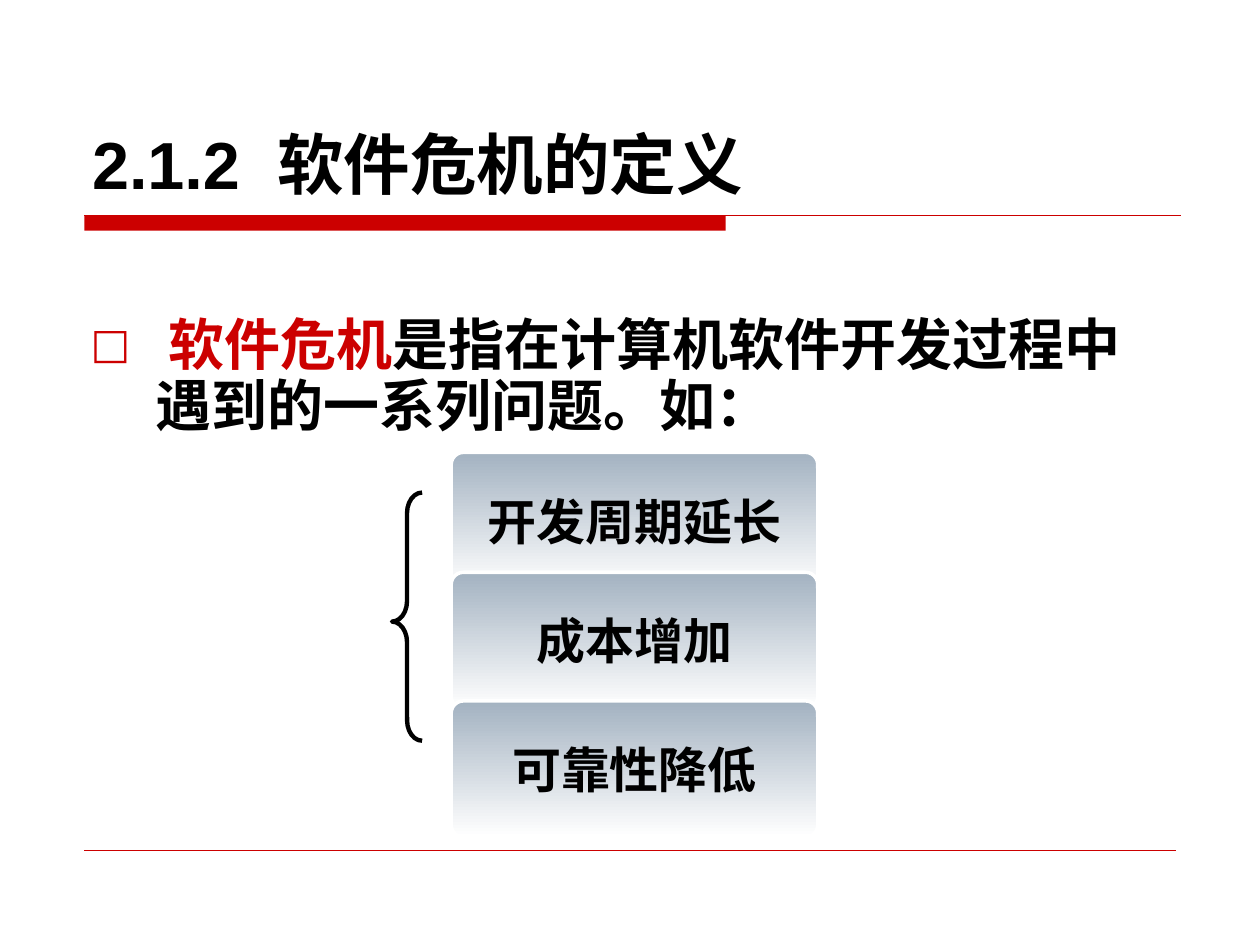
from dataclasses import dataclass

from lxml.etree import SubElement
from pptx import Presentation
from pptx.dml.color import RGBColor
from pptx.enum.shapes import MSO_CONNECTOR as Connector, MSO_SHAPE as Shape
from pptx.enum.text import MSO_ANCHOR as Anchor, MSO_AUTO_SIZE as AutoSize, PP_ALIGN as Align
from pptx.oxml.ns import qn
from pptx.util import Pt

RED, BLACK, WHITE, STEEL = "CC0000", "000000", "FFFFFF", "A3B2C1"
CJK_FONT = "Noto Sans CJK SC"


@dataclass
class Card:
    text: str
    top: float


@dataclass
class Rule:
    left: float
    right: float
    y: float
    weight: float


CARDS = [Card("开发周期延长", 258.5), Card("成本增加", 327), Card("可靠性降低", 400.5)]
RULES = [Rule(48.2, 674.6, 123.1, 0.75), Rule(48.2, 671.8, 486, 0.25)]


def color(value: str) -> RGBColor:
    return RGBColor.from_string(value)


def place(shape, left: float, top: float, width: float, height: float) -> None:
    shape.left, shape.top, shape.width, shape.height = map(Pt, (left, top, width, height))


def add_span(para, text: str, *, size: float, font: str, fill: str = BLACK, spacing: float = 0):
    span = para.add_run()
    span.text = text
    span.font.size, span.font.bold = Pt(size), True
    span.font.color.rgb = color(fill)
    span.font.name = font
    props = span.font._element
    SubElement(props, qn("a:ea")).set("typeface", CJK_FONT)
    if spacing:
        props.set("spc", str(round(spacing * 100)))
    return span


def add_bullet(para, char: str, *, font: str, fill: str, percent: int, indent: float) -> None:
    props = para._p.get_or_add_pPr()
    props.set("marL", str(Pt(indent)))
    props.set("indent", str(-Pt(indent)))
    bullet_color = SubElement(props, qn("a:buClr"))
    SubElement(bullet_color, qn("a:srgbClr")).set("val", fill)
    SubElement(props, qn("a:buSzPct")).set("val", str(percent * 1000))
    SubElement(props, qn("a:buFont")).set("typeface", font)
    SubElement(props, qn("a:buChar")).set("char", char)


def add_rule(page, rule: Rule):
    line = page.shapes.add_connector(
        Connector.STRAIGHT, Pt(rule.left), Pt(rule.y), Pt(rule.right), Pt(rule.y))
    line.line.color.rgb = color(RED)
    line.line.width = Pt(rule.weight)
    SubElement(line._element.spPr, qn("a:effectLst"))
    return line


def add_plain_shape(page, kind, left: float, top: float, width: float, height: float):
    shape = page.shapes.add_shape(kind, Pt(left), Pt(top), Pt(width), Pt(height))
    shape.shadow.inherit = False
    return shape


def add_card(page, card: Card):
    box = add_plain_shape(page, Shape.ROUNDED_RECTANGLE, 257.8, card.top, 209.5, 77.8)
    box.adjustments[0] = 0.09
    box.fill.gradient()
    box.fill.gradient_angle = 270
    for stop, value in zip(box.fill.gradient_stops, (STEEL, WHITE)):
        stop.color.rgb = color(value)
    box.line.color.rgb = color(WHITE)
    box.line.width = Pt(2)
    frame = box.text_frame
    frame.word_wrap = False
    frame.vertical_anchor = Anchor.MIDDLE
    para = frame.paragraphs[0]
    para.alignment = Align.CENTER
    add_span(para, card.text, size=28, font="DejaVu Sans")
    return box


def main() -> None:
    deck = Presentation()
    deck.slide_width, deck.slide_height = Pt(720), Pt(540)
    page = deck.slides.add_slide(deck.slide_layouts[1])

    # Red bar and thin rules
    bar = add_plain_shape(page, Shape.RECTANGLE, 48.2, 123.1, 366.5, 8.7)
    bar.fill.solid()
    bar.fill.fore_color.rgb = color(RED)
    bar.line.fill.background()
    for rule in RULES:
        add_rule(page, rule)

    # Title, with a wider gap after the section number
    title = page.shapes.title
    place(title, 45.4, 23.8, 630, 95.8)
    title.text_frame.auto_size = AutoSize.NONE
    title.text_frame.vertical_anchor = Anchor.BOTTOM
    para = title.text_frame.paragraphs[0]
    para.alignment = Align.LEFT
    for text, spacing in (("2.1.2", 0), (" ", 10.5), ("软件危机的定义", 0)):
        add_span(para, text, size=38, font="Arial", spacing=spacing)

    # Definition
    body = page.placeholders[1]
    place(body, 44.6, 177.8, 610.6, 121)
    body.text_frame.auto_size = AutoSize.NONE
    para = body.text_frame.paragraphs[0]
    para.line_spacing = 0.9
    para.space_before = Pt(0)
    add_bullet(para, "□", font="DejaVu Sans", fill=RED, percent=75, indent=37)
    add_span(para, " 软件危机", size=32, font=CJK_FONT, fill=RED)
    add_span(para, "是指在计算机软件开发过程中遇到的一系列问题。如：", size=32, font=CJK_FONT)

    # Brace and the problems it gathers
    brace = add_plain_shape(page, Shape.LEFT_BRACE, 224, 281.5, 17.2, 141.8)
    brace.adjustments[0], brace.adjustments[1] = 0.68, 0.52
    brace.fill.background()
    brace.line.color.rgb = color(BLACK)
    brace.line.width = Pt(2.5)
    for card in CARDS:
        add_card(page, card)

    deck.save("out.pptx")


if __name__ == "__main__":
    main()
